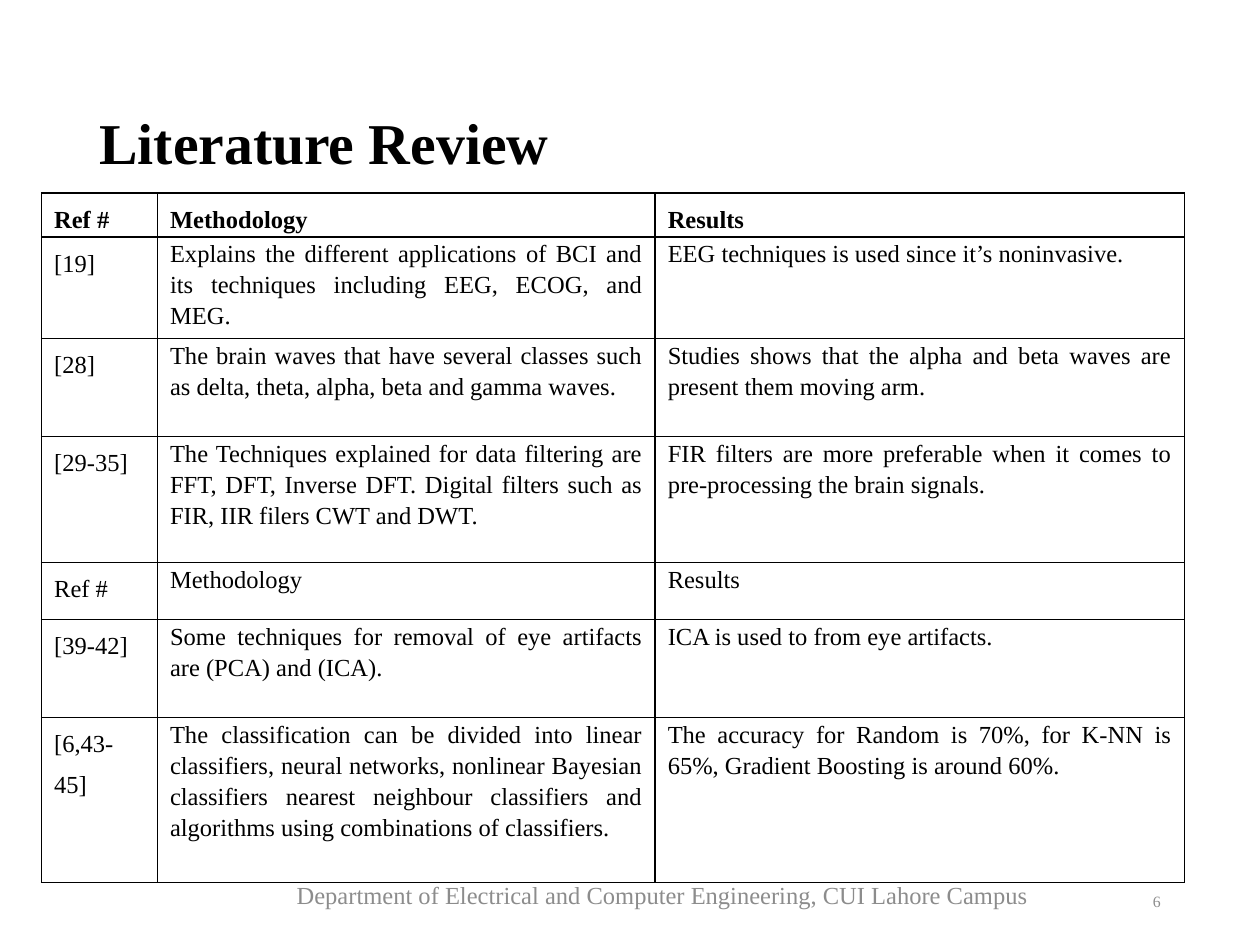
from lxml import etree
from pptx import Presentation
from pptx.dml.color import RGBColor
from pptx.enum import text
from pptx.oxml import ns
from pptx.util import Inches, Pt

COLORS = {"ink": "000000", "paper": "FFFFFF", "muted": "8C8C8C"}
FONT = "Times New Roman"
ALIGN = text.PP_ALIGN

COLUMN_WIDTHS = [0.92, 3.95, 4.2]
ROW_HEIGHTS = [0.31, 0.78, 0.78, 1, 0.45, 0.78, 1.31]
HEADINGS = ("Ref #", "Methodology", "Results")
REVIEW_ROWS = [
    HEADINGS,
    ("[19]",
     "Explains the different applications of BCI and its techniques "
     "including EEG, ECOG, and MEG.",
     "EEG techniques is used since it’s noninvasive."),
    ("[28]",
     "The brain waves that have several classes such as delta, theta, "
     "alpha, beta and gamma waves.",
     "Studies shows that the alpha and beta waves are present them moving arm."),
    ("[29-35]",
     "The Techniques explained for data filtering are FFT, DFT, Inverse DFT. "
     "Digital filters such as FIR, IIR filers CWT and DWT.",
     "FIR filters are more preferable when it comes to pre-processing "
     "the brain signals."),
    HEADINGS,
    ("[39-42]",
     "Some techniques for removal of eye artifacts are (PCA) and (ICA).",
     "ICA is used to from eye artifacts."),
    ("[6,43-45]",
     "The classification can be divided into linear classifiers, neural "
     "networks, nonlinear Bayesian classifiers nearest neighbour classifiers "
     "and algorithms using combinations of classifiers.",
     "The accuracy for Random is 70%, for K-NN is 65%, Gradient Boosting is "
     "around 60%."),
]


def write(tf, words, size, color="ink", bold=False, **paragraph_format):
    p = tf.paragraphs[0]
    for name, value in paragraph_format.items():
        setattr(p, name, value)
    r = p.add_run()
    r.text = words
    for name, value in {"name": FONT, "size": Pt(size), "bold": bold}.items():
        setattr(r.font, name, value)
    r.font.color.rgb = RGBColor.from_string(COLORS[color])


def add_text(s, box, words, size, **style):
    tf = s.shapes.add_textbox(*map(Inches, box)).text_frame
    tf.word_wrap = True
    tf.vertical_anchor = text.MSO_ANCHOR.MIDDLE
    write(tf, words, size, **style)


def add_borders(cell):
    tc_pr = cell._tc.get_or_add_tcPr()
    for side in ("a:lnL", "a:lnR", "a:lnT", "a:lnB"):
        line = etree.SubElement(tc_pr, ns.qn(side), w=str(Pt(1)))
        fill = etree.SubElement(line, ns.qn("a:solidFill"))
        etree.SubElement(fill, ns.qn("a:srgbClr"), val=COLORS["ink"])


def add_review_table(s, box):
    frame = s.shapes.add_table(len(REVIEW_ROWS), len(HEADINGS), *map(Inches, box))
    table = frame.table
    for column, width in zip(table.columns, COLUMN_WIDTHS):
        column.width = Inches(width)
    margins = {"margin_left": 0.1, "margin_right": 0.1,
               "margin_top": 0, "margin_bottom": 0}
    for i, (row, height) in enumerate(zip(table.rows, ROW_HEIGHTS)):
        row.height = Inches(height)
        for j, cell in enumerate(row.cells):
            for name, value in margins.items():
                setattr(cell, name, Inches(value))
            add_borders(cell)
            cell.fill.solid()
            cell.fill.fore_color.rgb = RGBColor.from_string(COLORS["paper"])
            write(cell.text_frame, REVIEW_ROWS[i][j], 14, bold=i == 0,
                  alignment=ALIGN.JUSTIFY,
                  line_spacing=1.5 if i == 0 or j == 0 else 1.15)


def add_footer(s, left, top):
    add_text(s, (left, top, 6.1, 0.4),
             "Department of Electrical and Computer Engineering, CUI Lahore Campus",
             14, color="muted", alignment=ALIGN.CENTER)
    add_text(s, (left + 4.85, top + 0.05, 2.25, 0.4), "6", 9,
             color="muted", alignment=ALIGN.RIGHT)


def main():
    prs = Presentation()
    prs.slide_width, prs.slide_height = Inches(10), Inches(7.5)
    s = prs.slides.add_slide(prs.slide_layouts[6])
    add_text(s, (0.69, 0.4, 8.62, 1.45), "Literature Review", 33, bold=True)
    add_review_table(s, (0.33, 1.53, sum(COLUMN_WIDTHS), sum(ROW_HEIGHTS)))
    add_footer(s, 2.21, 6.9)
    prs.save("out.pptx")


if __name__ == "__main__":
    main()
